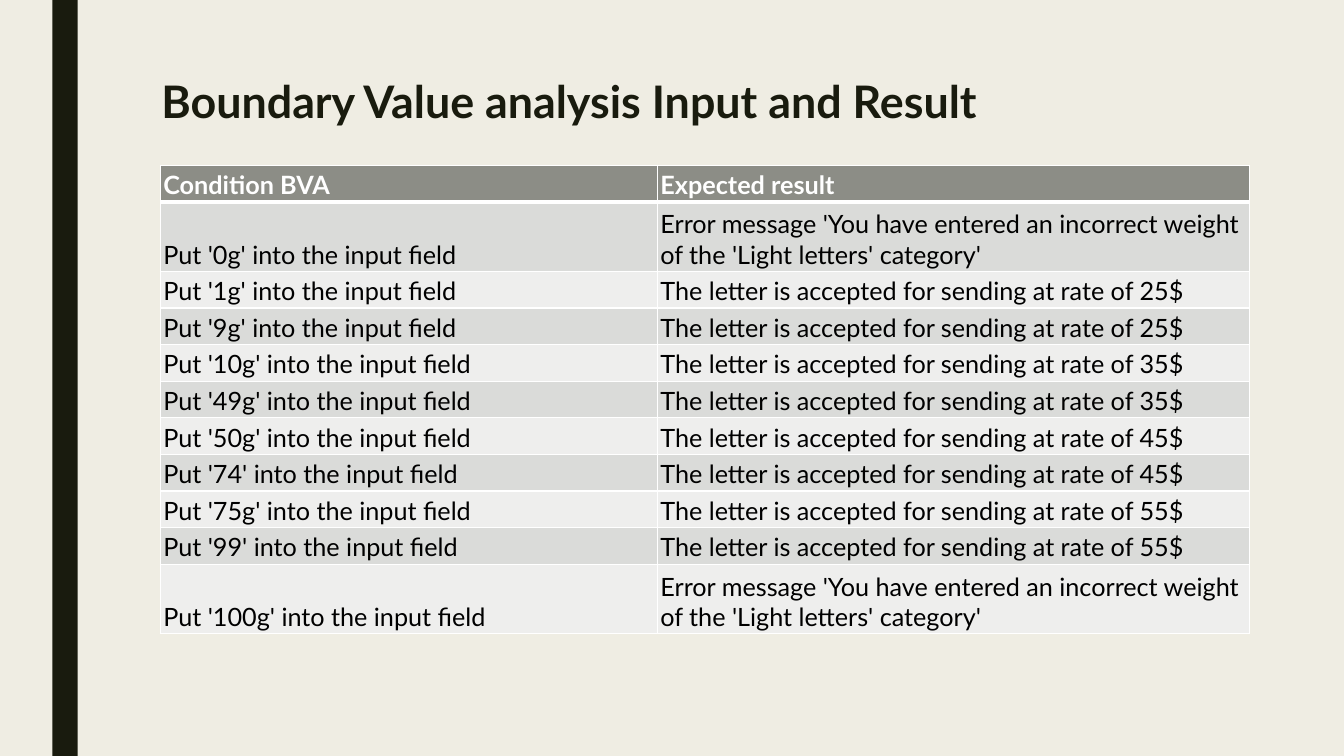
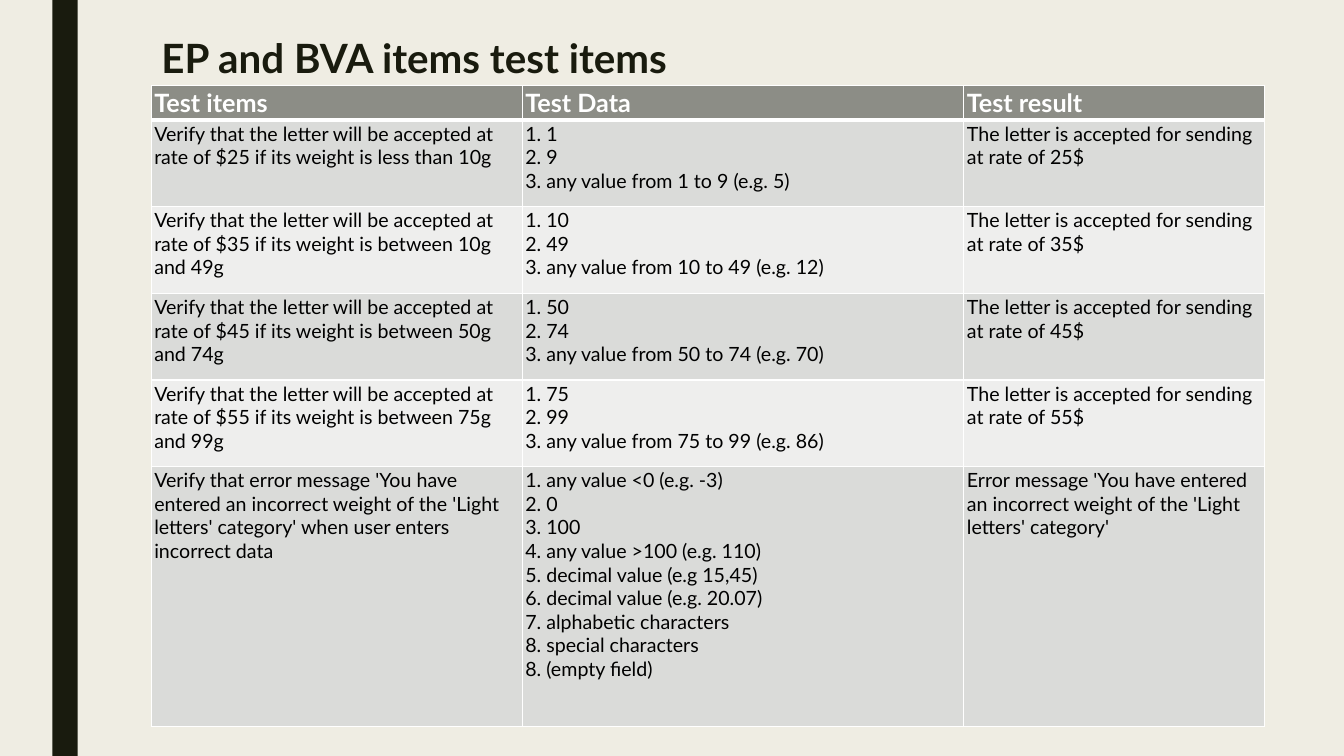
import pptx
import pptx.util
import pptx.dml.color
import pptx.enum.shapes
import pptx.enum.text
import pptx.oxml
import pptx.oxml.ns

Inches = pptx.util.Inches
Pt = pptx.util.Pt
ANCHOR = pptx.enum.text.MSO_ANCHOR

FONT = "Lato"
COLORS = {
    "background": "EFEDE3",
    "ink": "191B0E",
    "header": "8C8D86",
    "odd_row": "DADBD9",
    "even_row": "EEEEED",
    "white": "FFFFFF",
    "body": "000000",
}
ERROR = "Error message 'You have entered an incorrect weight of the 'Light letters' category'"
RATE_RULES = [
    (25, 1, 9, 5, "less than 10g"),
    (35, 10, 49, 12, "between 10g and 49g"),
    (45, 50, 74, 70, "between 50g and 74g"),
    (55, 75, 99, 86, "between 75g and 99g"),
]
BOUNDARY_INPUTS = [
    ("1g", 25), ("9g", 25), ("10g", 35), ("49g", 35),
    ("50g", 45), ("74", 45), ("75g", 55), ("99", 55),
]
INVALID_DATA = [
    "1. any value <0 (e.g. -3)",
    "2. 0",
    "3. 100",
    "4. any value >100 (e.g. 110)",
    "5. decimal value (e.g 15,45)",
    "6. decimal value (e.g. 20.07)",
    "7. alphabetic characters",
    "8. special characters",
    "8. (empty field)",
]


def rgb(name):
    return pptx.dml.color.RGBColor.from_string(COLORS[name])


def paint(fill, name):
    fill.solid()
    fill.fore_color.rgb = rgb(name)


def write(paragraph, text, size, color, bold):
    run = paragraph.add_run()
    run.text = text
    run.font.name = FONT
    run.font.size = Pt(size)
    run.font.bold = bold
    run.font.color.rgb = rgb(color)


def style_master(deck, first_slide):
    master = deck.slide_master
    paint(master.background.fill, "background")
    side_band = first_slide.shapes.add_shape(
        pptx.enum.shapes.MSO_SHAPE.RECTANGLE,
        Inches(0.52), 0, Inches(0.25), deck.slide_height)
    side_band.shadow.inherit = False
    paint(side_band.fill, "ink")
    side_band.line.fill.background()
    master.shapes[0].element.addprevious(side_band.element)


def place_title(slide, text, box, size):
    title = slide.shapes.title
    title.left, title.top, title.width, title.height = map(Inches, box)
    frame = title.text_frame
    frame.word_wrap = True
    frame.auto_size = pptx.enum.text.MSO_AUTO_SIZE.NONE
    frame.vertical_anchor = ANCHOR.TOP
    heading = frame.paragraphs[0]
    heading.alignment = pptx.enum.text.PP_ALIGN.LEFT
    heading.line_spacing = 0.89
    write(heading, text, size, "ink", True)


def set_borders(cell, top, bottom):
    properties = cell._tc.get_or_add_tcPr()
    for side, width in (("L", 1), ("R", 1), ("T", top), ("B", bottom)):
        properties.append(pptx.oxml.parse_xml(
            f'<a:ln{side} {pptx.oxml.ns.nsdecls("a")} w="{Pt(width)}">'
            f'<a:solidFill><a:srgbClr val="{COLORS["white"]}"/></a:solidFill>'
            f'</a:ln{side}>'))


def fill_cell(cell, lines, row, body_size, body_anchor):
    header = row == 0
    set_borders(cell, 3 if row == 1 else 1, 3 if header else 1)
    paint(cell.fill, "header" if header else "odd_row" if row % 2 else "even_row")
    cell.margin_left = cell.margin_right = Inches(0.03)
    cell.margin_top = cell.margin_bottom = Inches(0.02)
    cell.vertical_anchor = ANCHOR.BOTTOM if header else body_anchor
    for number, line in enumerate(lines):
        frame = cell.text_frame
        paragraph = frame.add_paragraph() if number else frame.paragraphs[0]
        write(paragraph, line, 18 if header else body_size,
              "white" if header else "body", header)


def place_table(slide, rows, corner, widths, heights, body_size, body_anchor):
    left, top = corner
    table = slide.shapes.add_table(
        len(rows), len(widths), Inches(left), Inches(top),
        Inches(sum(widths)), Inches(sum(heights))).table
    table.horz_banding = False
    for column, width in zip(table.columns, widths):
        column.width = Inches(width)
    for index, (entries, height) in enumerate(zip(rows, heights)):
        table.rows[index].height = Inches(height)
        for column, entry in enumerate(entries):
            lines = [entry] if isinstance(entry, str) else entry
            fill_cell(table.cell(index, column), lines, index, body_size, body_anchor)


def accepted(rate):
    return f"The letter is accepted for sending at rate of {rate}$"


def put(value):
    return f"Put '{value}' into the input field"


def boundary_slide(slide):
    place_title(slide, "Boundary Value analysis Input and Result", (1.5, 0.75, 10.5, 1.14), 32)
    rows = [("Condition BVA", "Expected result"), (put("0g"), ERROR)]
    rows += [(put(value), accepted(rate)) for value, rate in BOUNDARY_INPUTS]
    rows.append((put("100g"), ERROR))
    tall = 0.69
    single = (4.65 - 2 * tall) / (len(rows) - 2)
    heights = [tall if ERROR in entries else single for entries in rows]
    place_table(slide, rows, (1.59, 1.64), (4.93, 5.87), heights, 18, ANCHOR.BOTTOM)


def test_items_slide(slide):
    place_title(slide, "EP and BVA items test items", (1.5, 0.34, 10.5, 0.51), 28.8)
    rows = [("Test items", "Test Data", "Test result")]
    for rate, low, high, sample, limit in RATE_RULES:
        rows.append((
            f"Verify that the letter will be accepted at rate of ${rate} if its weight is {limit}",
            [f"1. {low}", f"2. {high}", f"3. any value from {low} to {high} (e.g. {sample})"],
            accepted(rate)))
    rows.append((
        "Verify that error message 'You have entered an incorrect weight of the "
        "'Light letters' category' when user enters incorrect data",
        INVALID_DATA, ERROR))
    heights = [0.32] + [0.86] * len(RATE_RULES) + [2.58]
    place_table(slide, rows, (1.5, 0.85), (3.68, 4.38, 2.98), heights, 14, ANCHOR.TOP)


def main():
    deck = pptx.Presentation()
    deck.slide_width, deck.slide_height = Inches(13.33), Inches(7.5)
    title_only = deck.slide_layouts[5]
    boundary = deck.slides.add_slide(title_only)
    style_master(deck, boundary)
    boundary_slide(boundary)
    test_items_slide(deck.slides.add_slide(title_only))
    deck.save("out.pptx")


if __name__ == "__main__":
    main()
